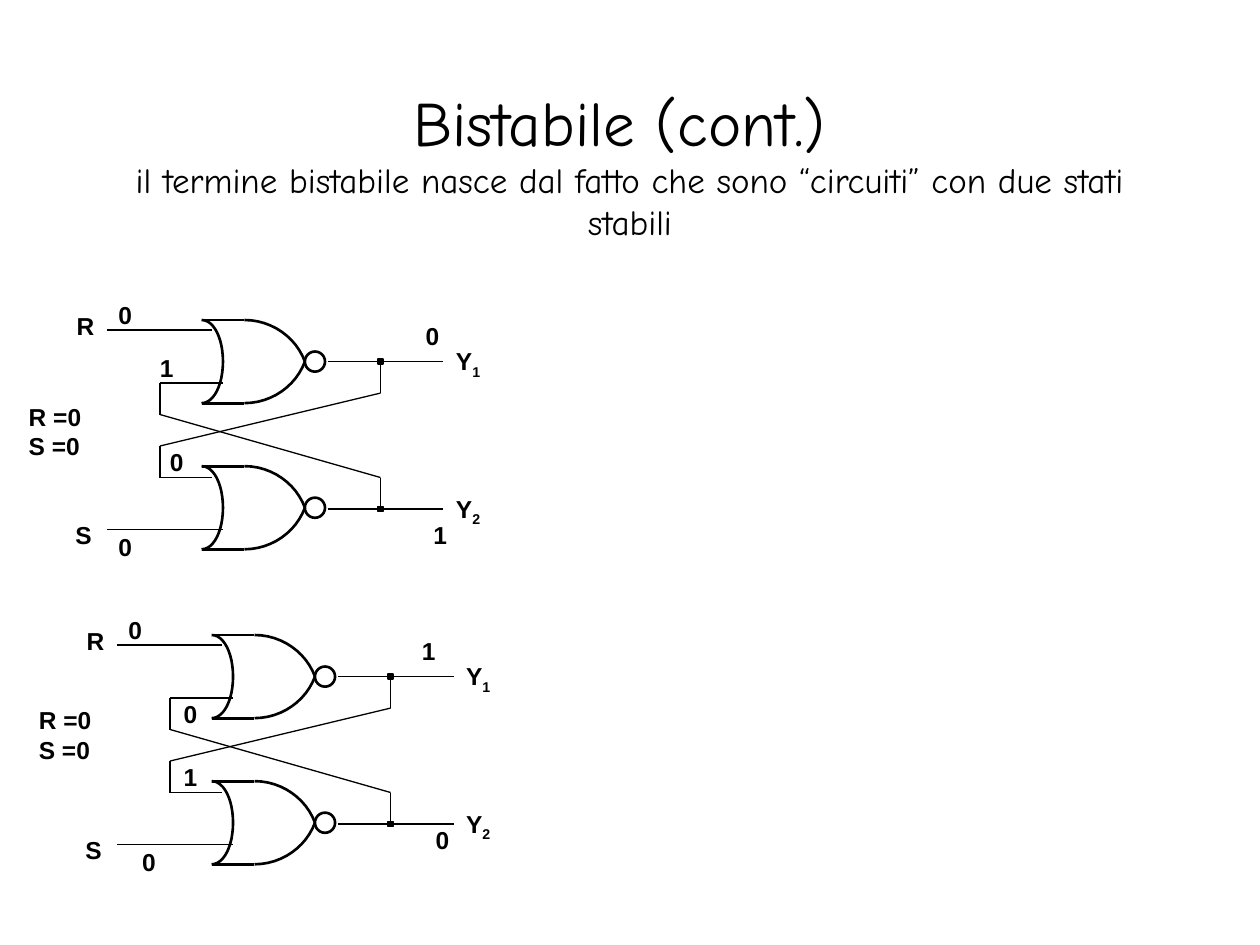
import pptx
import pptx.dml.color
import pptx.enum.shapes
import pptx.enum.text
import pptx.oxml.ns
import pptx.util
from lxml import etree

Inches = pptx.util.Inches
Pt = pptx.util.Pt
SHAPES = pptx.enum.shapes.MSO_SHAPE
CURVE_STEPS = 12


def color(hex_string):
    return pptx.dml.color.RGBColor.from_string(hex_string)


def curve_points(p0, p1, p2, p3):
    """Points along a cubic Bezier curve, both ends included."""
    points = []
    for step in range(CURVE_STEPS + 1):
        t = step / CURVE_STEPS
        weights = ((1 - t) ** 3, 3 * t * (1 - t) ** 2, 3 * t * t * (1 - t), t ** 3)
        points.append(tuple(sum(w * p[axis] for w, p in zip(weights, (p0, p1, p2, p3)))
                            for axis in (0, 1)))
    return points


class CircuitSlide:
    ink = "000000"
    paper = "FFFFFF"
    title_font = "Comic Neue"
    label_font = "Arial"
    label_size = 14
    gate_line = 1.5
    wire_line = 0.75

    def __init__(self, presentation):
        self.slide = presentation.slides.add_slide(presentation.slide_layouts[5])

    def title(self, heading, subtitle):
        title = self.slide.shapes.title
        title.left, title.top = Inches(0.75), Inches(0.67)
        title.width, title.height = Inches(8.5), Inches(1.25)
        frame = title.text_frame
        frame.text = heading + "\v" + subtitle
        frame.word_wrap = True
        frame.auto_size = pptx.enum.text.MSO_AUTO_SIZE.NONE
        frame.vertical_anchor = pptx.enum.text.MSO_ANCHOR.MIDDLE
        paragraph = frame.paragraphs[0]
        paragraph.alignment = pptx.enum.text.PP_ALIGN.CENTER
        for run, size in zip(paragraph.runs, (36, 20)):
            self.style_run(run, self.title_font, size)
        line_break = paragraph._p.find(pptx.oxml.ns.qn("a:br"))
        etree.SubElement(line_break, pptx.oxml.ns.qn("a:rPr"), sz="3600")

    def style_run(self, run, font, size, bold=False):
        run.font.name = font
        run.font.size = Pt(size)
        run.font.bold = bold
        run.font.color.rgb = color(self.ink)

    def label(self, x, y, width, height, text, subscript="", wrap=False):
        box = self.slide.shapes.add_textbox(Inches(x), Inches(y), Inches(width), Inches(height))
        frame = box.text_frame
        frame.text = text
        frame.word_wrap = wrap
        if subscript:
            index = frame.paragraphs[0].add_run()
            index.text = subscript
            index._r.get_or_add_rPr().set("baseline", "-25000")
        for paragraph in frame.paragraphs:
            for run in paragraph.runs:
                self.style_run(run, self.label_font, self.label_size, bold=True)

    def outline(self, shape, weight, fill=None):
        shape.shadow.inherit = False
        shape.line.color.rgb = color(self.ink)
        shape.line.width = Pt(weight)
        if fill:
            shape.fill.solid()
            shape.fill.fore_color.rgb = color(fill)
        else:
            shape.fill.background()

    def line(self, start, end, weight=wire_line, parent=None):
        shapes = (parent or self.slide).shapes
        connector = shapes.add_connector(pptx.enum.shapes.MSO_CONNECTOR.STRAIGHT,
                                         *(Inches(value) for value in (*start, *end)))
        connector.line.color.rgb = color(self.ink)
        connector.line.width = Pt(weight)
        etree.SubElement(connector._element.spPr, pptx.oxml.ns.qn("a:effectLst"))

    def curve(self, parent, *segments):
        points = [(Inches(x), Inches(y)) for segment in segments
                  for x, y in curve_points(*segment)]
        builder = parent.shapes.build_freeform(*points[0])
        builder.add_line_segments(points[1:], close=False)
        self.outline(builder.convert_to_shape(), self.gate_line)

    def nor_gate(self, x, y):
        """NOR gate whose top left corner is at x, y."""
        group = self.slide.shapes.add_group_shape()
        top, middle, bottom = y, y + 0.33, y + 0.66
        shoulder, tip = x + 0.34, x + 0.82
        for edge, inward in ((top, 1), (bottom, -1)):
            self.curve(group, ((shoulder, edge), (shoulder + 0.22, edge),
                               (shoulder + 0.41, edge + inward * 0.14), (tip, middle)))
            self.line((shoulder, edge), (x, edge), self.gate_line, group)
        self.curve(group,
                   ((x, top), (x + 0.1, top), (x + 0.17, top + 0.15), (x + 0.17, middle)),
                   ((x + 0.17, middle), (x + 0.17, bottom - 0.15), (x + 0.1, bottom), (x, bottom)))
        bubble = group.shapes.add_shape(SHAPES.OVAL, Inches(tip), Inches(middle - 0.08),
                                        Inches(0.16), Inches(0.16))
        self.outline(bubble, self.gate_line, self.paper)

    def junction(self, x, y):
        dot = self.slide.shapes.add_shape(SHAPES.RECTANGLE, Inches(x - 0.02), Inches(y - 0.02),
                                          Inches(0.04), Inches(0.04))
        self.outline(dot, self.wire_line, self.ink)

    def latch(self, dx, dy):
        """Two cross-coupled NOR gates with their wires and terminal names."""
        for gate_top in (2.54, 3.7):
            self.nor_gate(1.6 + dx, gate_top + dy)
        wires = [
            ((0.85, 2.62), (1.68, 2.62)), ((0.85, 4.2), (1.77, 4.2)),
            ((2.6, 2.87), (3.52, 2.87)), ((2.6, 4.04), (3.52, 4.04)),
            ((1.27, 3.04), (1.77, 3.04)), ((1.27, 3.79), (1.68, 3.79)),
            ((3.02, 3.12), (3.02, 2.87)), ((1.27, 3.79), (1.27, 3.54)),
            ((1.27, 3.54), (3.02, 3.12)), ((3.02, 4.04), (3.02, 3.79)),
            ((1.27, 3.29), (3.02, 3.79)), ((1.27, 3.29), (1.27, 3.04)),
        ]
        for (x1, y1), (x2, y2) in wires:
            self.line((x1 + dx, y1 + dy), (x2 + dx, y2 + dy))
        for subscript, output_y in (("1", 2.87), ("2", 4.04)):
            self.junction(3.02 + dx, output_y + dy)
            self.label(3.52 + dx, output_y - 0.17 + dy, 0.39, 0.37, "Y", subscript)
        self.label(0.51 + dx, 2.42 + dy, 0.34, 0.34, "R")
        self.label(0.5 + dx, 4.08 + dy, 0.33, 0.34, "S")


def main():
    presentation = pptx.Presentation()
    presentation.slide_width, presentation.slide_height = Inches(10), Inches(7.5)
    circuit = CircuitSlide(presentation)
    circuit.title("Bistabile (cont.) ",
                  "il termine bistabile nasce dal fatto che sono “circuiti” con due stati stabili")

    # Each state: latch offset, place of the input note, signal values with their places
    states = [
        ((0, 0), (0.13, 3.14),
         [("0", 0.84, 2.33), ("0", 3.28, 2.5), ("1", 1.17, 2.75),
          ("0", 1.25, 3.5), ("0", 0.84, 4.17), ("1", 3.34, 4.08)]),
        ((0.08, 2.5), (0.21, 5.55),
         [("0", 0.92, 4.83), ("1", 3.25, 5), ("0", 1.36, 5.5),
          ("1", 1.36, 6), ("0", 1.03, 6.67), ("0", 3.36, 6.5)]),
    ]
    for offset, note_place, signals in states:
        circuit.latch(*offset)
        circuit.label(*note_place, 0.64, 1.1, "R =0\nS =0", wrap=True)
        for value, x, y in signals:
            circuit.label(x, y, 0.31, 0.34, value)
    presentation.save("out.pptx")


if __name__ == "__main__":
    main()
